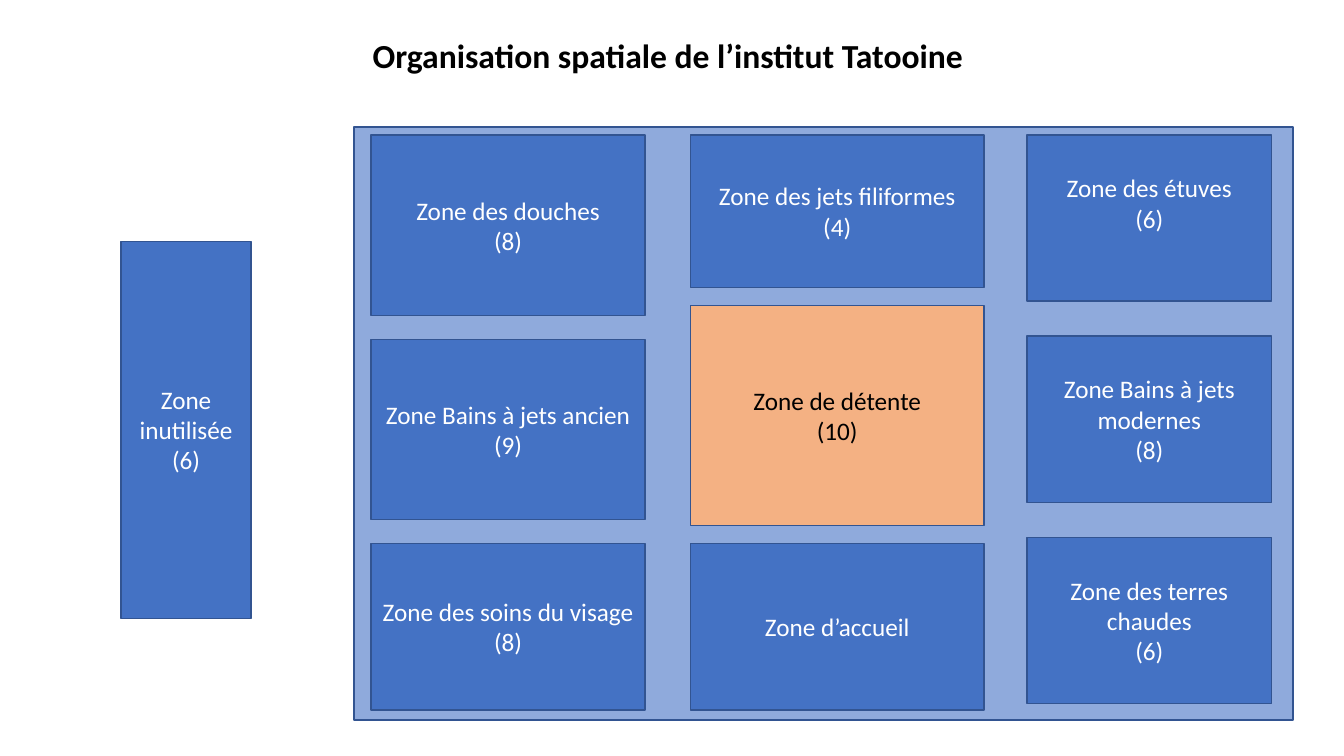
from pptx import Presentation
from pptx import util as u
from pptx.dml import color
from pptx.enum import shapes, text

BLUE, PALE, PEACH, EDGE = "4472C4", "8FAADC", "F4B183", "325491"
WHITE, BLACK = "FFFFFF", "000000"
TOP = 3.4

# Each column: left, width, gap, then its zones as (height, lines, format)
COLUMNS = [
    (9.35, 6.91, 0.6, [
        (4.55, ["Zone des douches", "(8)"], {}),
        (4.55, ["Zone Bains à jets ancien", "(9)"], {}),
        (4.19, ["Zone des soins du visage", "(8)"], {}),
    ]),
    (17.4, 7.4, 0.46, [
        (3.84, ["Zone des jets filiformes", "(4)"], {}),
        (5.54, ["Zone de détente", "(10)"], {"fill": PEACH, "ink": BLACK}),
        (4.19, ["Zone d’accueil"], {}),
    ]),
    (25.88, 6.17, 0.88, [
        (4.19, ["Zone des étuves", "(6)"], {"foot": 0.89}),
        (4.19, ["Zone Bains à jets modernes", "(8)"], {}),
        (4.19, ["Zone des terres chaudes", "(6)"], {}),
    ]),
]


def paint(part, shade):
    """Give a fill, whether of a shape, line or font, a solid hex colour."""
    part.solid()
    part.fore_color.rgb = color.RGBColor.from_string(shade)


def write(frame, lines, size=18, ink=WHITE, bold=False, wrap=True,
          align=text.PP_ALIGN.CENTER):
    """Write one paragraph per line in a text frame."""
    frame.word_wrap = wrap
    for i, line in enumerate(lines):
        para = frame.add_paragraph() if i else frame.paragraphs[0]
        para.alignment = align
        run = para.add_run()
        run.text = line
        run.font.name = "Calibri"
        run.font.size = u.Pt(size)
        run.font.bold = bold
        paint(run.font.fill, ink)


def block(slide, box, lines=(), fill=BLUE, ink=WHITE, foot=0.13):
    """Draw an outlined rectangle with centred text; foot is its bottom inset."""
    rect = slide.shapes.add_shape(shapes.MSO_SHAPE.RECTANGLE, *map(u.Cm, box))
    rect.shadow.inherit = False
    paint(rect.fill, fill)
    paint(rect.line.fill, EDGE)
    rect.line.width = u.Pt(1)
    frame = rect.text_frame
    frame.vertical_anchor = text.MSO_ANCHOR.MIDDLE
    frame.margin_bottom = u.Cm(foot)
    write(frame, lines, ink=ink)


def column(slide, left, width, gap, zones):
    """Stack zones downwards with an equal gap."""
    top = TOP
    for height, lines, style in zones:
        block(slide, (left, top, width, height), lines, **style)
        top += height + gap


def title(slide, line):
    """Add the bold heading on a single line."""
    box = slide.shapes.add_textbox(*map(u.Cm, (9.14, 0.76, 15.57, 1.28)))
    box.text_frame.auto_size = text.MSO_AUTO_SIZE.SHAPE_TO_FIT_TEXT
    write(box.text_frame, [line], size=24, ink=BLACK, bold=True, wrap=False,
          align=text.PP_ALIGN.LEFT)


def main():
    """Build the floor plan slide and save it."""
    deck = Presentation()
    deck.slide_width, deck.slide_height = u.Cm(33.87), u.Cm(19.05)
    slide = deck.slides.add_slide(deck.slide_layouts[6])
    block(slide, (8.92, 3.2, 23.67, 14.94), fill=PALE)
    for spec in COLUMNS:
        column(slide, *spec)
    block(slide, (3.05, 6.08, 3.28, 9.5), ["Zone inutilisée", "(6)"])
    title(slide, "Organisation spatiale de l’institut Tatooine")
    deck.save("out.pptx")


main()
